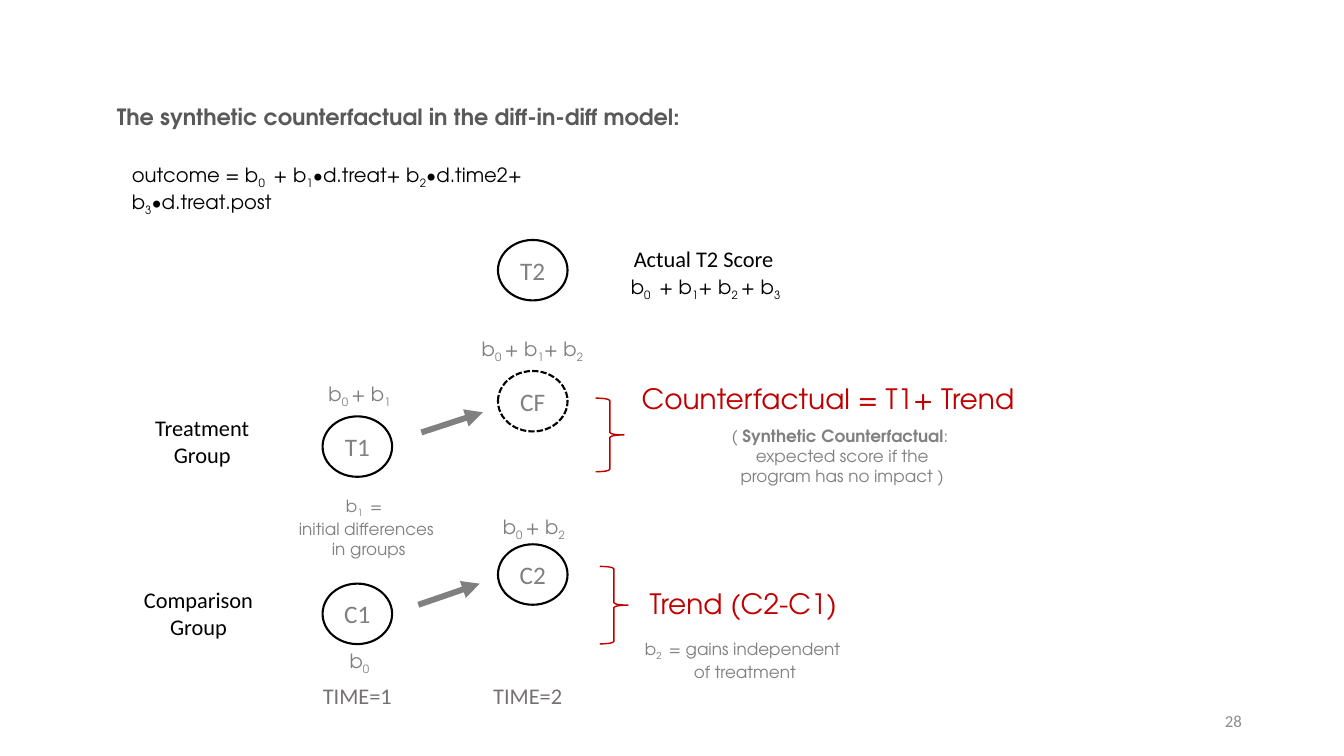
"""Build the slide on the synthetic counterfactual in the diff-in-diff model."""
from lxml.etree import SubElement
from pptx import Presentation
from pptx.dml.color import RGBColor as RGB
from pptx.enum.dml import MSO_LINE
from pptx.enum.shapes import MSO_CONNECTOR as CONN, MSO_SHAPE as SHAPE
from pptx.enum.text import MSO_ANCHOR as ANCHOR, MSO_AUTO_SIZE as FIT, PP_ALIGN as ALIGN
from pptx.oxml.ns import qn
from pptx.util import Pt

COLORS = {"black": "000000", "title": "595959", "gray": "808080",
          "time": "767171", "red": "C00000", "number": "8C8C8C"}
SANS, GEO = "Calibri", "TeX Gyre Adventor"
NODE_W, NODE_H = 49.7, 43.2
TIME_X = (135.4, 260.7)

STYLES = {
    "title": {"name": GEO, "size": Pt(16), "bold": True, "color": "title"},
    "model": {"name": GEO, "size": Pt(14), "color": "black"},
    "formula": {"name": GEO, "size": Pt(14), "color": "gray"},
    "note": {"name": GEO, "size": Pt(12), "color": "gray"},
    "result": {"name": GEO, "size": Pt(20), "color": "red"},
    "label": {"name": SANS, "size": Pt(16), "color": "black"},
    "time": {"name": SANS, "size": Pt(16), "color": "time"},
    "node": {"name": SANS, "size": Pt(18), "color": "gray"},
    "number": {"name": SANS, "size": Pt(12), "color": "number"},
}

TREATMENT = {
    "label": ("Treatment\nGroup", (8, -5, 82.8, 46)),
    "nodes": (("T1", 0, False), ("CF", -32.4, True)),
    "arrow": (206, 11.5, 43.9, -14.4),
    "formulas": (("b{0 }+ b{1}", (132.5, -28.1, 59, 24.5)),
                 ("b{0 }+ b{1}+ b{2}", (242, -60.5, 91.4, 24.5))),
    "brace": (330.5, -13, 20.2, 52.6),
    "result": ("Counterfactual = T1+ Trend", (330.5, -28.1, 331.9, 31.7)),
    "notes": (("b{1 } = \ninitial differences\n in groups", (110.2, 53.2, 113, 51.1)),
              ("( {Synthetic Counterfactual}: \nexpected score if the\n"
               "program has no impact )", (418.4, 2.8, 176.4, 51.1))),
}
COMPARISON = {
    "label": ("Comparison\nGroup", (0, -1.5, 93.6, 46)),
    "nodes": (("C1", 0, False), ("C2", -28.1, False)),
    "arrow": (203.8, 15.1, 43.9, -15.1),
    "formulas": (("b{0}", (147.6, 43.2, 29.5, 24.5)),
                 ("b{0 }+ b{2}", (257.1, -52.6, 64.8, 24.5))),
    "brace": (333.4, -12.3, 20.2, 55.4),
    "result": ("Trend (C2-C1)", (339.9, -1.5, 192.2, 31.7)),
    "notes": (("b{2 } = gains independent \nof treatment", (357.9, 36, 158.4, 36)),),
}


def place(box, part):
    """Turn a part's offset and size into slide lengths within a box."""
    x, y = box
    dx, dy, w, h = part
    return Pt(x + dx), Pt(y + dy), Pt(w), Pt(h)


def write(tf, text, style, align=ALIGN.LEFT, wrap=False, anchor=ANCHOR.TOP):
    """Write lines of text; braces hold subscript digits or bold words."""
    for key, value in {"word_wrap": wrap, "vertical_anchor": anchor,
                       "auto_size": FIT.NONE}.items():
        setattr(tf, key, value)
    for i, line in enumerate(text.split("\n")):
        p = tf.add_paragraph() if i else tf.paragraphs[0]
        p.alignment = align
        for j, part in enumerate(line.replace("}", "{").split("{")):
            if not part:
                continue
            r = p.add_run()
            r.text = part
            for key, value in STYLES[style].items():
                if key == "color":
                    r.font.color.rgb = RGB.from_string(COLORS[value])
                else:
                    setattr(r.font, key, value)
            if j % 2 and part.strip().isdigit():
                r._r.get_or_add_rPr().set("baseline", "-25000")
            elif j % 2:
                r.font.bold = True


def add_text(s, box, part, text, style, **layout):
    """Add a text box inside a region."""
    write(s.shapes.add_textbox(*place(box, part)).text_frame, text, style, **layout)


def add_outline(s, box, part, kind, color, width):
    """Add an unfilled preset shape inside a region."""
    sp = s.shapes.add_shape(kind, *place(box, part))
    sp.shadow.inherit = False
    sp.fill.background()
    sp.line.color.rgb = RGB.from_string(COLORS[color])
    sp.line.width = Pt(width)
    return sp


def add_node(s, box, dx, dy, text, dashed=False):
    """Add a score circle."""
    sp = add_outline(s, box, (dx, dy, NODE_W, NODE_H), SHAPE.OVAL, "black", 1.5)
    if dashed:
        sp.line.dash_style = MSO_LINE.SQUARE_DOT
    tf = sp.text_frame
    for side in ("left", "right", "top", "bottom"):
        setattr(tf, f"margin_{side}", 0)
    write(tf, text, "node", align=ALIGN.CENTER, anchor=ANCHOR.MIDDLE)


def add_arrow(s, box, part):
    """Add a thick trend arrow."""
    x, y, w, h = place(box, part)
    cn = s.shapes.add_connector(CONN.STRAIGHT, x, y, x + w, y + h)
    cn.line.color.rgb = RGB.from_string(COLORS["gray"])
    cn.line.width = Pt(4.25)
    SubElement(cn.line._get_or_add_ln(), qn("a:tailEnd"), type="triangle")
    SubElement(cn._element.spPr, qn("a:effectLst"))


def add_heading(s, box):
    """Place the title and the regression model."""
    title = s.shapes.title
    spots = zip(("left", "top", "width", "height"), place(box, (0, 0, 421.9, 26.6)))
    for key, value in spots:
        setattr(title, key, value)
    write(title.text_frame, "The synthetic counterfactual in the diff-in-diff model:", "title")
    add_text(s, box, (10.8, 43.2, 386.6, 43),
             "outcome = b{0 } + b{1}∙d.treat+ b{2}∙d.time2+ b{3}∙d.treat.post",
             "model", wrap=True)


def add_actual_score(s, box):
    """Place the observed treatment score at time 2."""
    add_node(s, box, TIME_X[1], 0, "T2")
    add_text(s, box, (350, 0, 115.2, 26.6), "Actual T2 Score", "label", align=ALIGN.CENTER)
    add_text(s, box, (348.5, 21.6, 123.1, 24.5), "b{0 } + b{1}+ b{2 }+ b{3}", "model")


def add_group_row(s, box, row):
    """Place one study group with its scores, trend and explanation."""
    text, part = row["label"]
    add_text(s, box, part, text, "label", align=ALIGN.CENTER)
    for dx, (text, dy, dashed) in zip(TIME_X, row["nodes"]):
        add_node(s, box, dx, dy, text, dashed)
    add_arrow(s, box, row["arrow"])
    for text, part in row["formulas"]:
        add_text(s, box, part, text, "formula")
    add_outline(s, box, row["brace"], SHAPE.RIGHT_BRACE, "red", 1)
    text, part = row["result"]
    add_text(s, box, part, text, "result", align=ALIGN.CENTER, wrap=True)
    for text, part in row["notes"]:
        add_text(s, box, part, text, "note", align=ALIGN.CENTER)


def add_footer(s, box):
    """Place the time labels and the slide number."""
    for text, dx in (("TIME=1", 128.2), ("TIME=2", 249.9)):
        add_text(s, box, (dx, 0, 64.1, 26.6), text, "time", align=ALIGN.CENTER)
    add_text(s, box, (583.2, 16.6, 216, 28.8), "28", "number",
             align=ALIGN.RIGHT, anchor=ANCHOR.MIDDLE)


def main():
    """Build and save the slide."""
    prs = Presentation()
    prs.slide_width, prs.slide_height = Pt(960), Pt(540)
    s = prs.slides.add_slide(prs.slide_layouts[5])
    add_heading(s, (76.3, 69.8))
    add_actual_score(s, (95, 171.4))
    add_group_row(s, (95, 297.4), TREATMENT)
    add_group_row(s, (95, 416.9), COMPARISON)
    add_footer(s, (95, 483.8))
    prs.save("out.pptx")


if __name__ == "__main__":
    main()
